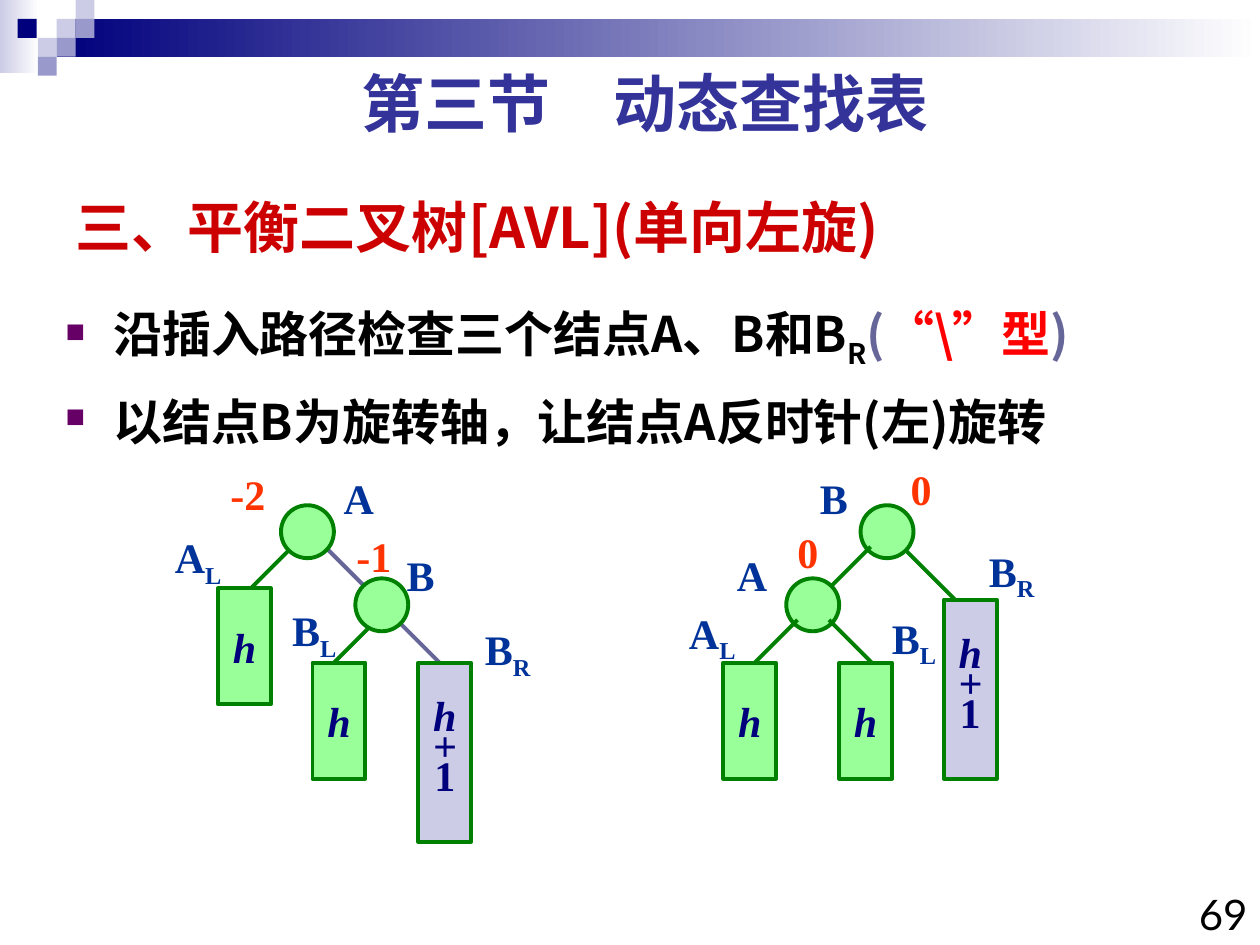
import pptx
import pptx.dml.color
import pptx.enum.shapes
import pptx.enum.text
import pptx.oxml.ns
import pptx.util
from lxml import etree
from dataclasses import dataclass

PX = 9144  # EMU in one px, 100 px to the inch
SHAPE = pptx.enum.shapes.MSO_SHAPE
ALIGN = pptx.enum.text.PP_ALIGN
ANCHOR = pptx.enum.text.MSO_ANCHOR
qn = pptx.oxml.ns.qn


@dataclass(frozen=True)
class Theme:
    sans: str = "Noto Sans CJK SC"
    serif: str = "Times New Roman"
    number: str = "Lato"
    black: str = "000000"
    navy: str = "00007D"
    pale: str = "CCCCE6"
    lilac: str = "9999CC"
    white: str = "FFFFFF"
    section: str = "333399"
    title: str = "CC0000"
    red: str = "FF0000"
    slate: str = "666699"
    bullet: str = "660066"
    green: str = "99FF99"
    outline: str = "008000"
    label: str = "003399"
    factor: str = "FF3300"
    section_size: int = 36
    title_size: int = 32
    body_size: int = 28
    tree_size: int = 24
    line_width: float = 2.25


T = Theme()
NODE = 42  # node diameter and subtree width


def rgb(color):
    return pptx.dml.color.RGBColor.from_string(color)


def px(*lengths):
    return [n * PX for n in lengths]


def add_run(p, text, size=24, font=T.serif, color=T.black, bold=True,
            italic=False, sub=False):
    r = p.add_run()
    r.text = text
    f = r.font
    f.size, f.name, f.bold, f.italic = pptx.util.Pt(size), font, bold, italic
    f.color.rgb = rgb(color)
    rpr = r._r.get_or_add_rPr()
    etree.SubElement(rpr, qn("a:ea"), typeface=T.sans)
    if sub:
        rpr.set("baseline", "-25000")


def add_bullet(p):
    ppr = p._p.get_or_add_pPr()
    ppr.set("marL", str(38 * PX))
    ppr.set("indent", str(-38 * PX))
    color = etree.SubElement(ppr, qn("a:buClr"))
    etree.SubElement(color, qn("a:srgbClr"), val=T.bullet)
    etree.SubElement(ppr, qn("a:buSzPct"), val="55000")
    etree.SubElement(ppr, qn("a:buChar"), char="■")


def write(sp, paragraphs, align=ALIGN.LEFT, anchor=ANCHOR.TOP, wrap=True,
          spacing=None, before=0, bullet=False, **style):
    """Fill a shape; each paragraph is a list of (text, overrides) runs."""
    tf = sp.text_frame
    tf.auto_size = pptx.enum.text.MSO_AUTO_SIZE.NONE
    tf.word_wrap, tf.vertical_anchor = wrap, anchor
    for i, runs in enumerate(paragraphs):
        p = tf.add_paragraph() if i else tf.paragraphs[0]
        if bullet:
            add_bullet(p)
        p.alignment = align
        if spacing:
            p.line_spacing = spacing
        if i and before:
            p.space_before = pptx.util.Pt(before)
        for text, changes in runs:
            add_run(p, text, **{**style, **changes})


def add_text(s, box, paragraphs, **style):
    sp = s.shapes.add_textbox(*px(*box))
    write(sp, paragraphs, **style)


def add_block(s, kind, box, fill, line=None):
    sp = s.shapes.add_shape(kind, *px(*box))
    sp.shadow.inherit = False
    if isinstance(fill, tuple):
        sp.fill.gradient()
        sp.fill.gradient_angle = 0
        for stop, color in zip(sp.fill.gradient_stops, fill):
            stop.color.rgb = rgb(color)
    else:
        sp.fill.solid()
        sp.fill.fore_color.rgb = rgb(fill)
    if line:
        sp.line.color.rgb = rgb(line)
        sp.line.width = pptx.util.Pt(T.line_width)
    else:
        sp.line.fill.background()
    return sp


def add_edge(s, x, y, run, color=T.outline):
    """Draw a branch falling at 45 degrees; a negative run goes left."""
    c = s.shapes.add_connector(pptx.enum.shapes.MSO_CONNECTOR.STRAIGHT,
                               *px(x, y, x + run, y + abs(run)))
    c.line.color.rgb = rgb(color)
    c.line.width = pptx.util.Pt(T.line_width)
    etree.SubElement(c._element.spPr, qn("a:effectLst"))


def add_node(s, x, y):
    add_block(s, SHAPE.OVAL, (x, y, NODE, NODE), T.green, T.outline)


def add_subtree(s, x, y, grown=False):
    """Draw a subtree of height h, or h+1 when grown."""
    sp = add_block(s, SHAPE.RECTANGLE, (x, y, NODE, 142 if grown else 92),
                   T.pale if grown else T.green, T.outline)
    paragraphs = [[("h", {})]]
    if grown:
        paragraphs += [[("+", {})], [("1", {"italic": False})]]
    write(sp, paragraphs, align=ALIGN.CENTER, anchor=ANCHOR.MIDDLE, wrap=False,
          spacing=0.6 if grown else None, size=T.tree_size, color=T.navy,
          italic=True)


def add_labels(s, labels):
    """Place node names, with any second letter lowered, and balance factors."""
    for x, y, text in labels:
        is_name = text[0].isalpha()
        runs = [(text[0], {}), (text[1:], {"sub": True})] if is_name else [(text, {})]
        add_text(s, (x, y, 36 + 10 * len(text), 50), [[r for r in runs if r[0]]],
                 wrap=False, size=T.tree_size,
                 color=T.label if is_name else T.factor)


def add_header(s):
    add_block(s, SHAPE.RECTANGLE, (0, 0, 31, 58), (T.pale, T.white))
    add_block(s, SHAPE.RECTANGLE, (45, 15, 955, 30), (T.navy, T.white))
    for x, y, color in [(45, 15, T.pale), (60, 0, T.pale), (60, 15, T.lilac),
                        (30, 30, T.pale), (14, 15, T.navy), (45, 30, T.lilac),
                        (30, 45, T.lilac)]:
        add_block(s, SHAPE.RECTANGLE, (x, y, 15, 15), color)


def add_title(s):
    title = s.shapes.title
    title.left, title.top, title.width, title.height = px(50, 142, 683, 75)
    write(title, [[("三、平衡二叉树[AVL](单向左旋)", {})]], anchor=ANCHOR.MIDDLE,
          size=T.title_size, font=T.sans, color=T.title)


def add_steps(s):
    red = {"color": T.red}
    quote = {"color": T.red, "font": T.serif}
    slate = {"color": T.slate}
    add_text(s, (42, 233, 958, 442), [
        [("沿插入路径检查三个结点A、B和B", {}), ("R", {"sub": True}), ("(", slate),
         ("“", quote), ("\\", red), ("”", quote), ("型", red), (")", slate)],
        [("以结点B为旋转轴，让结点A反时针(左)旋转", {})],
    ], bullet=True, spacing=1.05, before=10.5, size=T.body_size, font=T.sans)


def add_tree_before(s):
    for x, y, run, color in [(307, 484, 50, T.slate), (307, 484, -42, T.outline),
                             (232, 434, -42, T.outline), (248, 424, 50, T.slate)]:
        add_edge(s, x, y, run, color)
    add_subtree(s, 248, 526)
    add_subtree(s, 173, 467)
    add_node(s, 282, 459)
    add_node(s, 223, 401)
    add_subtree(s, 332, 526, grown=True)
    add_labels(s, [(129, 417, "AL"), (263, 370, "A"), (313, 431, "B"),
                   (375, 490, "BR"), (222, 475, "BL"), (173, 367, "-2"),
                   (273, 416, "-1")])


def add_tree_after(s):
    add_edge(s, 708, 426, 50)
    add_node(s, 683, 401)
    add_subtree(s, 749, 476, grown=True)
    add_edge(s, 691, 434, -42)
    add_node(s, 624, 459)
    add_edge(s, 633, 492, -42)
    add_subtree(s, 574, 526)
    add_edge(s, 658, 492, 50)
    add_subtree(s, 666, 526)
    add_labels(s, [(641, 370, "B"), (775, 428, "BR"), (575, 431, "A"),
                   (537, 477, "AL"), (698, 481, "BL"), (623, 413, "0"),
                   (713, 363, "0")])


def main():
    prs = pptx.Presentation()
    prs.slide_width, prs.slide_height = px(1000, 750)
    s = prs.slides.add_slide(prs.slide_layouts[5])
    add_header(s)
    add_title(s)
    # Page number and section heading
    add_text(s, (933, 700, 67, 59), [[("69", {})]], align=ALIGN.RIGHT,
             font=T.number, bold=False)
    add_text(s, (49, 46, 925, 70), [[("第三节　动态查找表", {})]],
             align=ALIGN.CENTER, size=T.section_size, font=T.number,
             color=T.section)
    add_steps(s)
    # Trees before and after the left rotation
    add_tree_before(s)
    add_tree_after(s)
    prs.save("out.pptx")


if __name__ == "__main__":
    main()
